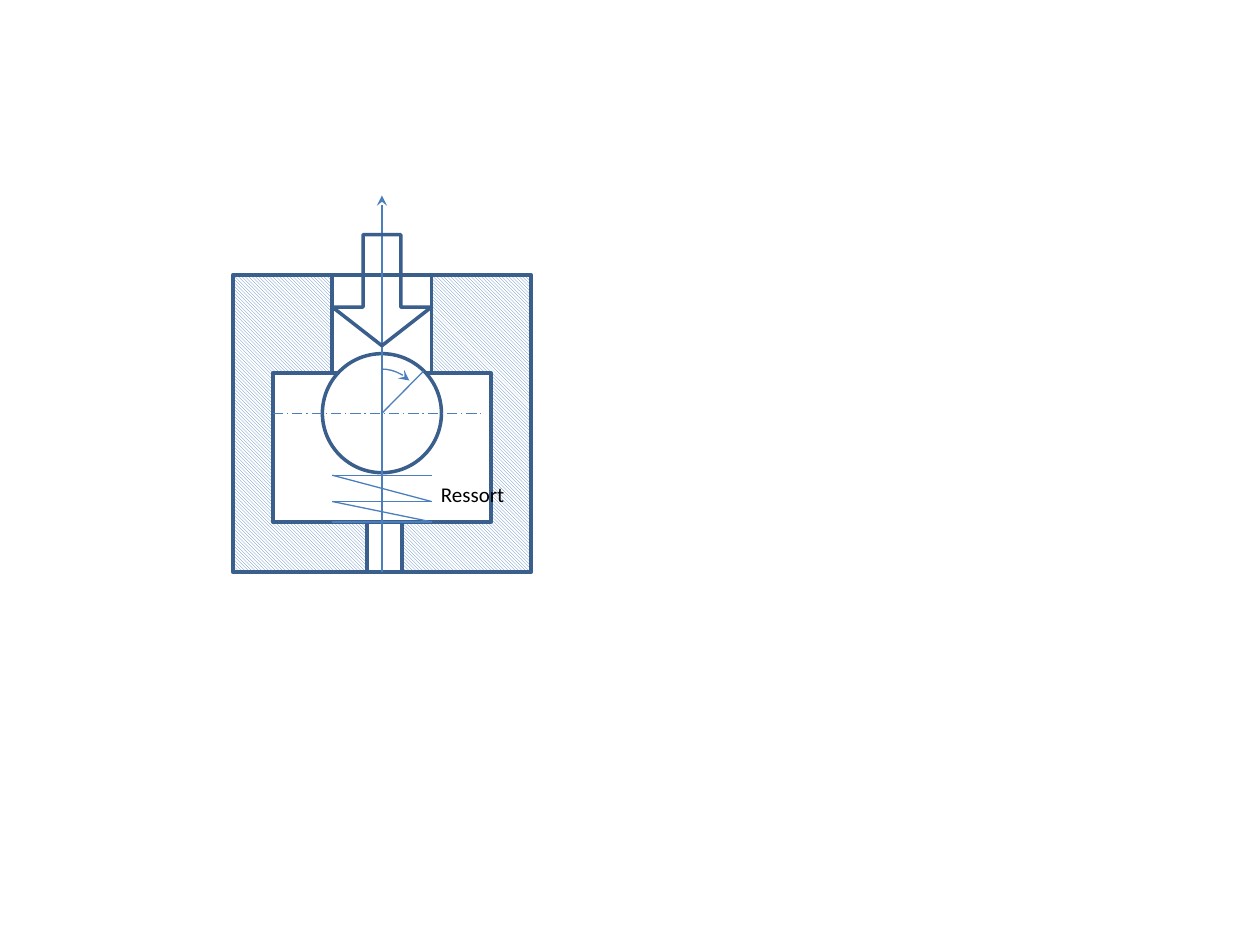
"""Draw the section of a spring-loaded ball valve."""
from typing import NamedTuple, Optional

from lxml import etree
from pptx import Presentation
from pptx import util as u
from pptx.dml.color import RGBColor
from pptx.enum import dml, shapes, text
from pptx.oxml.ns import qn

COLOURS = {
    "outline": "3A5F8C",
    "thin": "4B7EBC",
    "hatch": "4F81BD",
    "white": "FFFFFF",
    "label": "000000",
}
SHAPE = shapes.MSO_SHAPE
AXIS_X, BALL_Y = 7.7, 8.33
BODY_TOP, CHAMBER_TOP, CHAMBER_BOTTOM, BODY_BOTTOM = 5.54, 7.52, 10.52, 11.54
BORE_LEFT, BORE_RIGHT = AXIS_X - 1, AXIS_X + 1
SPRING_TOP, SPRING_MIDDLE = 9.58, 10.11


class Part(NamedTuple):
    kind: shapes.MSO_SHAPE
    left: float
    top: float
    width: float
    height: float
    fill: Optional[str] = "white"
    line: str = "outline"
    weight: float = 2.25
    adjustments: tuple = ()
    arrow: bool = False


class Line(NamedTuple):
    x1: float
    y1: float
    x2: float
    y2: float
    dashed: bool = False
    arrow: bool = False


def rgb(name: str) -> RGBColor:
    """Return a named colour."""
    return RGBColor.from_string(COLOURS[name])


def style_line(line, colour: str, weight: float, arrow: bool, dashed: bool = False) -> None:
    """Set colour, weight, dash and arrowhead of a line."""
    line.color.rgb = rgb(colour)
    line.width = u.Pt(weight)
    if dashed:
        line.dash_style = dml.MSO_LINE.LONG_DASH_DOT
    if arrow:
        etree.SubElement(line.color._xFill.getparent(), qn("a:tailEnd"), type="stealth")


def draw_part(slide, part: Part) -> None:
    """Draw one solid, hatched or open part."""
    shape = slide.shapes.add_shape(
        part.kind, *map(u.Cm, (part.left, part.top, part.width, part.height)))
    shape.shadow.inherit = False
    for index, value in enumerate(part.adjustments):
        shape.adjustments[index] = value
    if part.fill is None:
        shape.fill.background()
    elif part.fill == "hatch":
        shape.fill.patterned()
        shape.fill.pattern = dml.MSO_PATTERN.LIGHT_DOWNWARD_DIAGONAL
        shape.fill.fore_color.rgb = rgb("hatch")
        shape.fill.back_color.rgb = rgb("white")
    else:
        shape.fill.solid()
        shape.fill.fore_color.rgb = rgb(part.fill)
    style_line(shape.line, part.line, part.weight, part.arrow)


def draw_line(slide, line: Line) -> None:
    """Draw one thin line."""
    connector = slide.shapes.add_connector(
        shapes.MSO_CONNECTOR.STRAIGHT, *map(u.Cm, (line.x1, line.y1, line.x2, line.y2)))
    style_line(connector.line, "thin", 0.75, line.arrow, line.dashed)
    etree.SubElement(connector._element.spPr, qn("a:effectLst"))


def draw_label(slide, words: str, left: float, top: float, width: float, height: float) -> None:
    """Write a label."""
    frame = slide.shapes.add_textbox(*map(u.Cm, (left, top, width, height))).text_frame
    frame.word_wrap = True
    frame.auto_size = text.MSO_AUTO_SIZE.SHAPE_TO_FIT_TEXT
    label = frame.paragraphs[0]
    label.text = words
    label.font.name = "Calibri"
    label.font.size = u.Pt(12)
    label.font.color.rgb = rgb("label")


VALVE = [
    Part(SHAPE.RECTANGLE, AXIS_X - 3, BODY_TOP, 6, BODY_BOTTOM - BODY_TOP, "hatch"),
    Part(SHAPE.RECTANGLE, BORE_LEFT, BODY_TOP, 2, 2.64),
    Part(SHAPE.RECTANGLE, AXIS_X - 2.2, CHAMBER_TOP, 4.4, CHAMBER_BOTTOM - CHAMBER_TOP),
    Part(SHAPE.RECTANGLE, 7.4, CHAMBER_BOTTOM, 0.7, BODY_BOTTOM - CHAMBER_BOTTOM),
    Part(SHAPE.OVAL, AXIS_X - 1.2, BALL_Y - 1.2, 2.4, 2.4, weight=2),
    Line(AXIS_X, BODY_BOTTOM, AXIS_X, 3.94, arrow=True),
    Line(AXIS_X - 2.2, BALL_Y, AXIS_X + 2, BALL_Y, dashed=True),
    Line(AXIS_X, BALL_Y, 8.54, 7.48),
    Part(SHAPE.ARC, 6.89, 7.44, 1.6, 1.6, None, "thin", 0.75, (162, 188.88), True),
    Part(SHAPE.DOWN_ARROW, BORE_LEFT, 4.73, 2, 2.24, None, weight=2,
         adjustments=(0.38, 0.39)),
]
SPRING = [
    Line(BORE_LEFT, start, BORE_RIGHT, end)
    for start, end in (
        (CHAMBER_BOTTOM, CHAMBER_BOTTOM),
        (SPRING_MIDDLE, SPRING_MIDDLE),
        (SPRING_TOP, SPRING_TOP),
        (SPRING_TOP, SPRING_MIDDLE),
        (SPRING_MIDDLE, CHAMBER_BOTTOM),
    )
]


def main() -> None:
    """Build and save the slide."""
    deck = Presentation()
    deck.slide_width, deck.slide_height = u.Cm(25.4), u.Cm(19.05)
    slide = deck.slides.add_slide(deck.slide_layouts[6])
    for item in VALVE + SPRING:
        if isinstance(item, Part):
            draw_part(slide, item)
        else:
            draw_line(slide, item)
    draw_label(slide, "Ressort", 8.64, SPRING_TOP, 2, 0.76)
    deck.save("out.pptx")


if __name__ == "__main__":
    main()
